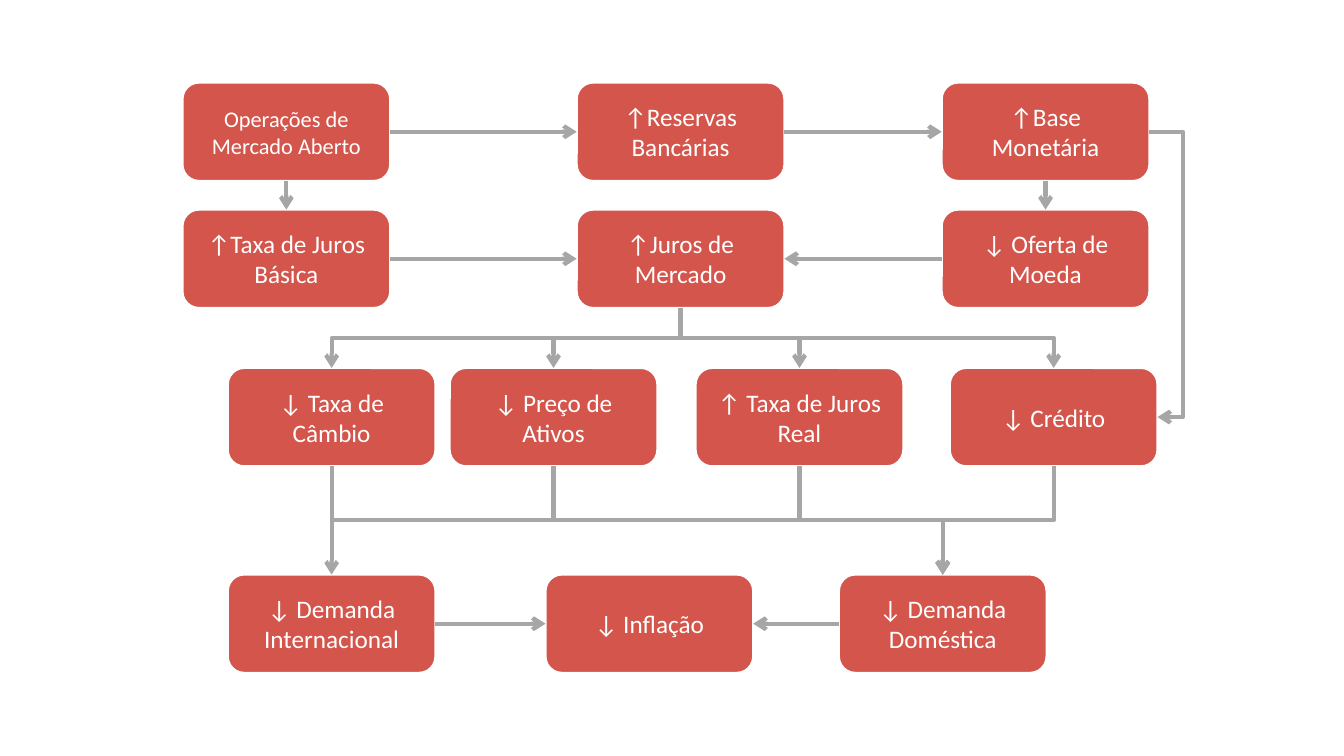
from lxml import etree
from pptx import Presentation
from pptx import util as u
from pptx.dml.color import RGBColor
from pptx.enum import shapes, text
from pptx.oxml.ns import qn

BOX_WIDTH, BOX_HEIGHT = 15.45, 13
TOP, BOTTOM, LEFT, RIGHT = 0, 2, 1, 3

ROWS = {
    10.93: [
        ("operations", 13.58, "Operações de Mercado Aberto"),
        ("reserves", 42.91, "↑Reservas Bancárias"),
        ("base", 70.07, "↑Base Monetária"),
    ],
    27.73: [
        ("basic_rate", 13.58, "↑Taxa de Juros Básica"),
        ("market_rate", 42.91, "↑Juros de Mercado"),
        ("money_supply", 70.07, "↓ Oferta de Moeda"),
    ],
    48.67: [
        ("exchange", 16.95, "↓ Taxa de Câmbio"),
        ("assets", 33.46, "↓ Preço de Ativos"),
        ("real_rate", 51.76, "↑ Taxa de Juros Real"),
        ("credit", 70.67, "↓ Crédito"),
    ],
    76: [
        ("foreign", 16.95, "↓ Demanda Internacional"),
        ("inflation", 40.59, "↓ Inflação"),
        ("domestic", 62.42, "↓ Demanda Doméstica"),
    ],
}

STRAIGHT_ARROWS = [
    ("operations", RIGHT, "reserves", LEFT),
    ("reserves", RIGHT, "base", LEFT),
    ("operations", BOTTOM, "basic_rate", TOP),
    ("base", BOTTOM, "money_supply", TOP),
    ("basic_rate", RIGHT, "market_rate", LEFT),
    ("money_supply", LEFT, "market_rate", RIGHT),
    ("exchange", BOTTOM, "foreign", TOP),
    ("foreign", RIGHT, "inflation", LEFT),
    ("domestic", LEFT, "inflation", RIGHT),
]
CHANNELS = ["exchange", "assets", "real_rate", "credit"]


def color(value):
    return RGBColor.from_string(value)


def write(shape, content, size=18, font="Calibri", ink="FFFFFF"):
    frame = shape.text_frame
    frame.word_wrap = True
    frame.vertical_anchor = text.MSO_ANCHOR.MIDDLE
    paragraph = frame.paragraphs[0]
    paragraph.alignment = text.PP_ALIGN.CENTER
    run = paragraph.add_run()
    run.text = content
    run.font.size = u.Pt(size)
    run.font.name = font
    run.font.color.rgb = color(ink)


class Flowchart:
    """Draws boxes and arrows on one slide, placed by percentages of its size."""

    fill, border, arrow_color = "D3554B", "FFFFFF", "A6A6A6"

    def __init__(self, presentation):
        self.width = presentation.slide_width
        self.height = presentation.slide_height
        self.slide = presentation.slides.add_slide(presentation.slide_layouts[6])

    def x(self, percent):
        return round(self.width * percent / 100)

    def y(self, percent):
        return round(self.height * percent / 100)

    def box(self, left, top, content, **style):
        shape = self.slide.shapes.add_shape(
            shapes.MSO_SHAPE.ROUNDED_RECTANGLE,
            self.x(left), self.y(top), self.x(BOX_WIDTH), self.y(BOX_HEIGHT))
        shape.shadow.inherit = False
        shape.fill.solid()
        shape.fill.fore_color.rgb = color(self.fill)
        shape.line.color.rgb = color(self.border)
        shape.line.width = u.Pt(1.5)
        write(shape, content, **style)
        return shape

    def connector(self, kind, *ends):
        connector = self.slide.shapes.add_connector(kind, *map(round, ends))
        connector.line.color.rgb = color(self.arrow_color)
        connector.line.width = u.Pt(3)
        line = connector.line._get_or_add_ln()
        etree.SubElement(line, qn("a:tailEnd"), type="arrow")
        etree.SubElement(connector._element.spPr, qn("a:effectLst"))
        return connector

    def straight(self, source, source_side, target, target_side):
        connector = self.connector(shapes.MSO_CONNECTOR.STRAIGHT, 0, 0, 0, 0)
        connector.begin_connect(source, source_side)
        connector.end_connect(target, target_side)

    def drop(self, source, target):
        start_x = source.left + source.width / 2
        end_x = target.left + target.width / 2
        start_y, end_y = source.top + source.height, target.top
        middle_x, middle_y = (start_x + end_x) / 2, (start_y + end_y) / 2
        rightward = end_x > start_x
        half_run = (end_y - start_y) / 2 * (1 if rightward else -1)
        half_span = abs(end_x - start_x) / 2
        connector = self.connector(
            shapes.MSO_CONNECTOR.ELBOW,
            middle_x + half_run, middle_y - half_span,
            middle_x - half_run, middle_y + half_span)
        connector.rotation = 270 if rightward else 90

    def detour(self, source, target, reach):
        start_x, end_x = source.left + source.width, target.left + target.width
        connector = self.connector(
            shapes.MSO_CONNECTOR.ELBOW,
            start_x, source.top + source.height / 2,
            end_x, target.top + target.height / 2)
        bend = round(self.x(reach) / (end_x - start_x) * 100000)
        geometry = connector._element.spPr.find(qn("a:prstGeom"))
        guides = geometry.find(qn("a:avLst"))
        if guides is None:
            guides = etree.SubElement(geometry, qn("a:avLst"))
        etree.SubElement(guides, qn("a:gd"), name="adj1", fmla=f"val {bend}")


def main():
    presentation = Presentation()
    presentation.slide_width = u.Inches(13.33)
    presentation.slide_height = u.Inches(7.5)
    chart = Flowchart(presentation)
    boxes = {}
    for top, row in ROWS.items():
        for name, left, content in row:
            size = 16 if name == "operations" else 18
            boxes[name] = chart.box(left, top, content, size=size)
    for source, source_side, target, target_side in STRAIGHT_ARROWS:
        chart.straight(boxes[source], source_side, boxes[target], target_side)
    for name in CHANNELS:
        chart.drop(boxes["market_rate"], boxes[name])
        chart.drop(boxes[name], boxes["domestic"])
    chart.detour(boxes["base"], boxes["credit"], 2.5)
    presentation.save("out.pptx")


if __name__ == "__main__":
    main()
